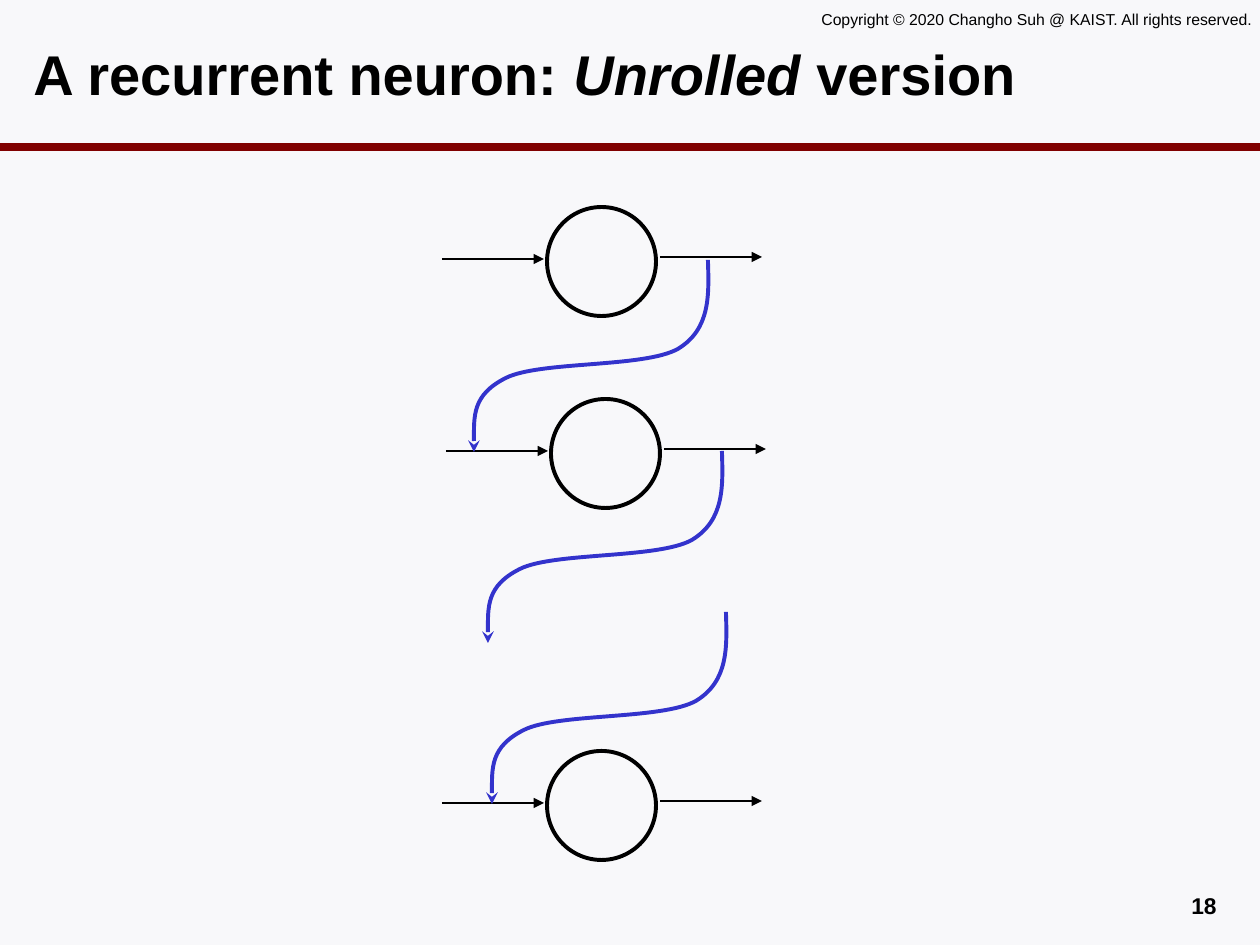
from typing import NamedTuple

from lxml import etree
from pptx import Presentation
from pptx.dml.color import RGBColor
from pptx.enum.shapes import MSO_CONNECTOR, MSO_SHAPE
from pptx.enum.text import MSO_ANCHOR, MSO_AUTO_SIZE, PP_ALIGN
from pptx.oxml.ns import qn
from pptx.util import Pt

EMU_PER_PX = 914400 / 126
STRAIGHT = MSO_CONNECTOR.STRAIGHT
OVAL = MSO_SHAPE.OVAL
TOP, MIDDLE = MSO_ANCHOR.TOP, MSO_ANCHOR.MIDDLE
LEFT, RIGHT = PP_ALIGN.LEFT, PP_ALIGN.RIGHT
FIT_SHAPE, NO_FIT = MSO_AUTO_SIZE.SHAPE_TO_FIT_TEXT, MSO_AUTO_SIZE.NONE

BACKGROUND = RGBColor(0xF8, 0xF8, 0xFA)
BLACK = RGBColor(0x00, 0x00, 0x00)
MAROON = RGBColor(0x80, 0x00, 0x00)
BLUE = RGBColor(0x33, 0x33, 0xCC)


class Point(NamedTuple):
    x: int
    y: int


class Label(NamedTuple):
    left: int
    top: int
    width: int
    height: int
    runs: list[tuple[str, bool]]
    size: int
    bold: bool = True
    wrap: bool = True
    align: PP_ALIGN = LEFT
    anchor: MSO_ANCHOR = TOP


LABELS = [
    Label(809, 4, 470, 31,
          [("Copyright © 2020 Changho Suh @ KAIST. All rights reserved.", False)],
          9, bold=False, wrap=False),
    Label(21, 21, 1205, 105,
          [("A recurrent neuron: ", False), ("Unrolled", True), (" version", False)],
          32, anchor=MIDDLE),
    Label(935, 886, 294, 34, [("18", False)], 13, align=RIGHT),
]

NEURON_DIAMETER = 109
NEURONS = [Point(547, 207), Point(551, 399), Point(547, 751)]
INPUT_ARROW = (Point(-105, 52), Point(-3, 52))
OUTPUT_ARROW = (Point(113, 50), Point(215, 50))

FEEDBACK_STARTS = [Point(708, 260), Point(722, 451), Point(726, 612)]
FEEDBACK_CURVE = [
    Point(1, 34), Point(3, 69), Point(-30, 89),
    Point(-64, 108), Point(-168, 101), Point(-202, 118),
    Point(-236, 135), Point(-234, 163), Point(-234, 192),
]


def px(length: int) -> int:
    return round(length * EMU_PER_PX)


def shift(origin: Point, offset: Point) -> Point:
    return Point(origin.x + offset.x, origin.y + offset.y)


def style_line(shape, color: RGBColor, width: float, arrowhead: str = "") -> None:
    shape.line.color.rgb = color
    shape.line.width = Pt(width)
    if arrowhead:
        line = shape.line._get_or_add_ln()
        etree.SubElement(line, qn("a:tailEnd"), type=arrowhead)


def add_line(slide, start: Point, end: Point, color: RGBColor, width: float,
             arrowhead: str = "") -> None:
    connector = slide.shapes.add_connector(
        STRAIGHT, px(start.x), px(start.y), px(end.x), px(end.y))
    style_line(connector, color, width, arrowhead)
    etree.SubElement(connector._element.spPr, qn("a:effectLst"))


def add_label(slide, label: Label) -> None:
    box = slide.shapes.add_textbox(
        px(label.left), px(label.top), px(label.width), px(label.height))
    frame = box.text_frame
    frame.word_wrap = label.wrap
    frame.auto_size = NO_FIT if label.wrap else FIT_SHAPE
    frame.vertical_anchor = label.anchor
    paragraph = frame.paragraphs[0]
    paragraph.alignment = label.align
    for text, italic in label.runs:
        run = paragraph.add_run()
        run.text = text
        run.font.name = "Arial"
        run.font.size = Pt(label.size)
        run.font.bold = label.bold
        run.font.italic = italic
        run.font.color.rgb = BLACK


def add_neuron(slide, corner: Point) -> None:
    circle = slide.shapes.add_shape(
        OVAL, px(corner.x), px(corner.y), px(NEURON_DIAMETER), px(NEURON_DIAMETER))
    circle.shadow.inherit = False
    circle.fill.background()
    style_line(circle, BLACK, 2.25)
    for start, end in (INPUT_ARROW, OUTPUT_ARROW):
        add_line(slide, shift(corner, start), shift(corner, end), BLACK, 0.75, "triangle")


def add_feedback(slide, start: Point) -> None:
    builder = slide.shapes.build_freeform(start.x, start.y, scale=EMU_PER_PX)
    builder.add_line_segments(
        [shift(start, offset) for offset in FEEDBACK_CURVE], close=False)
    curve = builder.convert_to_shape()
    segments = list(curve._element.iter(qn("a:lnTo")))
    for index in range(0, len(segments), 3):
        bezier = etree.SubElement(segments[index].getparent(), qn("a:cubicBezTo"))
        for segment in segments[index:index + 3]:
            bezier.append(segment[0])
            segment.getparent().remove(segment)
    curve.shadow.inherit = False
    curve.fill.background()
    style_line(curve, BLUE, 2.25, "stealth")


def main() -> None:
    presentation = Presentation()
    presentation.slide_width = px(1260)
    presentation.slide_height = px(945)
    slide = presentation.slides.add_slide(presentation.slide_layouts[6])
    slide.background.fill.solid()
    slide.background.fill.fore_color.rgb = BACKGROUND

    add_line(slide, Point(0, 147), Point(1260, 147), MAROON, 4.5)
    for label in LABELS:
        add_label(slide, label)
    for corner in NEURONS:
        add_neuron(slide, corner)
    for start in FEEDBACK_STARTS:
        add_feedback(slide, start)

    presentation.save("out.pptx")


if __name__ == "__main__":
    main()
